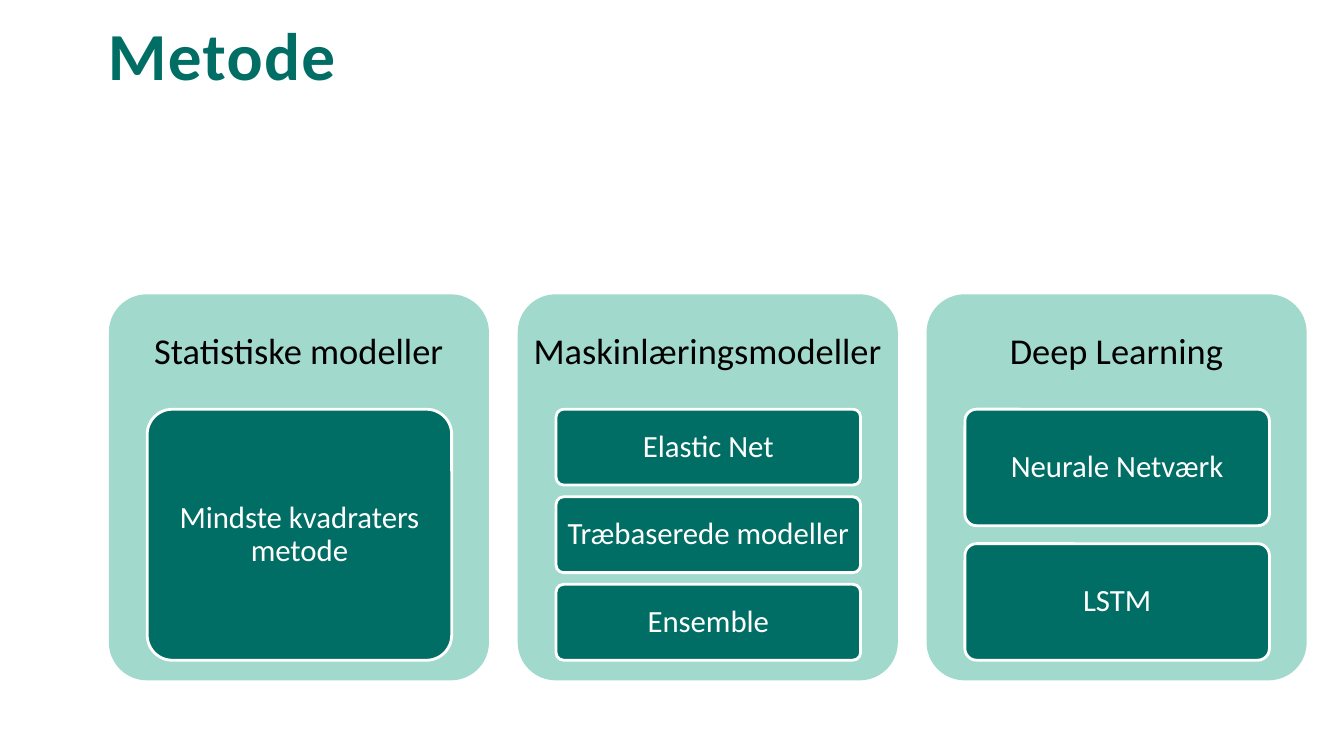
from pptx import Presentation
from pptx.dml.color import RGBColor
from pptx.enum.shapes import MSO_SHAPE as SHAPE
from pptx.enum.text import MSO_ANCHOR as ANCHOR, MSO_AUTO_SIZE as AUTO, PP_ALIGN as ALIGN
from pptx.util import Inches, Pt

COLORS = {"green": "006E64", "mint": "A1D9CC", "white": "FFFFFF", "black": "000000"}
GROUPS = [
    ("Statistiske modeller", ["Mindste kvadraters metode"]),
    ("Maskinlæringsmodeller", ["Elastic Net", "Træbaserede modeller", "Ensemble"]),
    ("Deep Learning", ["Neurale Netværk", "LSTM"]),
]
CARD_LEFT, CARD_TOP, CARD_W, CARD_H = 1.08, 2.92, 3.77, 3.83
CARD_PITCH = 4.055
HEADING_H = 1.15
METHOD_INDENT, METHOD_TOP, METHOD_W, METHODS_H = 0.38, 4.06, 3.02, 2.49
GAP_RATIO = 2 / 13  # gap between methods, relative to their height


def rgb(name):
    return RGBColor.from_string(COLORS[name])


def set_text(sp, text, size, color, inset_x, inset_y, align=ALIGN.CENTER,
             anchor=ANCHOR.MIDDLE, spacing=0.9):
    tf = sp.text_frame
    tf.word_wrap = True
    tf.auto_size = AUTO.NONE
    tf.vertical_anchor = anchor
    tf.margin_left = tf.margin_right = Inches(inset_x)
    tf.margin_top = tf.margin_bottom = Inches(inset_y)
    p = tf.paragraphs[0]
    p.text = text
    p.alignment = align
    p.line_spacing = spacing
    p.font.name = "Calibri"
    p.font.size = Pt(size)
    p.font.color.rgb = rgb(color)
    return p


def add_title(s, text):
    sp = s.shapes.title
    sp.left, sp.top, sp.width, sp.height = map(Inches, (1.07, 0.25, 11.89, 0.69))
    p = set_text(sp, text, 48, "green", 0, 0, ALIGN.LEFT, ANCHOR.TOP, 0.85)
    p.font.bold = True
    p.runs[0].font._element.set("spc", "100")


def add_rounded(s, left, top, width, height, fill, line=None):
    sp = s.shapes.add_shape(SHAPE.ROUNDED_RECTANGLE, *map(Inches, (left, top, width, height)))
    sp.adjustments[0] = 0.1
    sp.shadow.inherit = False
    sp.fill.solid()
    sp.fill.fore_color.rgb = rgb(fill)
    if line:
        sp.line.color.rgb = rgb(line)
        sp.line.width = Pt(2)
    else:
        sp.line.fill.background()
    return sp


def add_group_card(s, left, heading, methods):
    add_rounded(s, left, CARD_TOP, CARD_W, CARD_H, "mint")
    box = s.shapes.add_textbox(*map(Inches, (left, CARD_TOP, CARD_W, HEADING_H)))
    set_text(box, heading, 26, "black", 0.11, 0.11)

    n = len(methods)
    height = METHODS_H / (n + (n - 1) * GAP_RATIO)
    for i, method in enumerate(methods):
        top = METHOD_TOP + i * height * (1 + GAP_RATIO)
        sp = add_rounded(s, left + METHOD_INDENT, top, METHOD_W, height, "green", "white")
        set_text(sp, method, 22, "white", 0.06, 0.05)


def main():
    prs = Presentation()
    prs.slide_width, prs.slide_height = Inches(13.33), Inches(7.5)
    s = prs.slides.add_slide(prs.slide_layouts[5])
    add_title(s, "Metode")
    for i, (heading, methods) in enumerate(GROUPS):
        add_group_card(s, CARD_LEFT + i * CARD_PITCH, heading, methods)
    prs.save("out.pptx")


if __name__ == "__main__":
    main()
